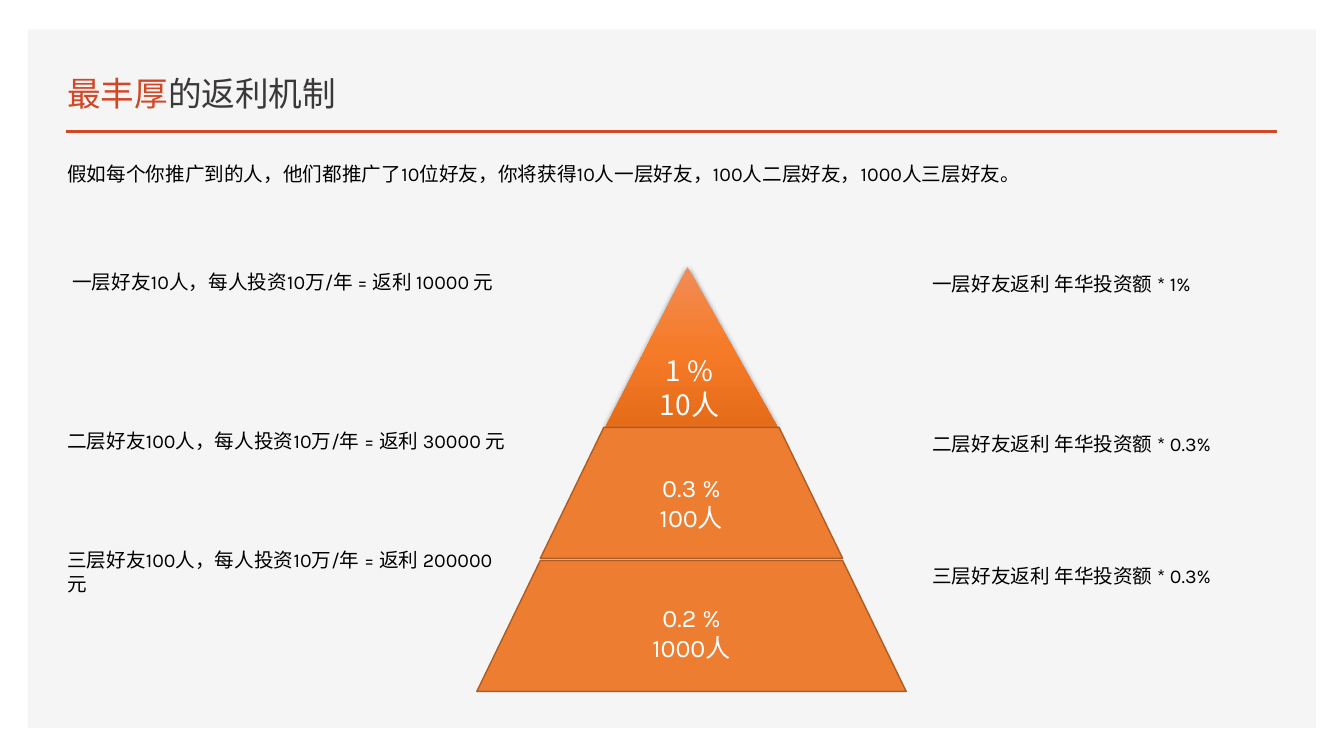
from lxml import etree
from pptx import Presentation
from pptx import util as u
from pptx.dml import color
from pptx.enum import shapes, text
from pptx.oxml import ns

BODY_FONT = "Karla"
CHINESE_FONT = "Noto Sans CJK SC"
RED = "D24726"
WHITE = "FFFFFF"
BLACK = "000000"


def rgb(hex_value):
    return color.RGBColor.from_string(hex_value)


def points(*lengths):
    return [u.Pt(length) for length in lengths]


def apply_format(target, values):
    for name, value in values.items():
        setattr(target, name, value)


def add_element(parent, tag, **attributes):
    element = etree.SubElement(parent, ns.qn(tag))
    for name, value in attributes.items():
        element.set(name, str(value))
    return element


def write_run(paragraph, words, size, hex_value, font_name=BODY_FONT):
    run = paragraph.add_run()
    run.text = words
    apply_format(run.font, {"size": u.Pt(size), "name": font_name})
    run.font.color.rgb = rgb(hex_value)
    add_element(run.font._element, "a:ea", typeface=CHINESE_FONT)


def add_text_box(slide, box, runs, size, anchor=text.MSO_ANCHOR.TOP, spacing=1.0):
    frame = slide.shapes.add_textbox(*points(*box)).text_frame
    apply_format(frame, {"word_wrap": True, "vertical_anchor": anchor})
    paragraph = frame.paragraphs[0]
    paragraph.line_spacing = spacing
    for words, hex_value in runs:
        write_run(paragraph, words, size, hex_value)


def add_background(slide, box):
    panel = slide.shapes.add_shape(shapes.MSO_SHAPE.RECTANGLE, *points(*box))
    panel.shadow.inherit = False
    panel.fill.solid()
    panel.fill.fore_color.rgb = rgb("F5F5F5")
    panel.line.fill.background()


def add_heading(slide, box):
    left, top, width, height = box
    rule_top = top + height
    title_runs = [("最丰厚", RED), ("的返利机制", "3B3838")]
    add_text_box(slide, (left - 6.5, top, 350, 50.4), title_runs, 24,
                 text.MSO_ANCHOR.BOTTOM, 0.9)
    rule = slide.shapes.add_connector(
        shapes.MSO_CONNECTOR.STRAIGHT, *points(left, rule_top, left + width, rule_top))
    rule.line.color.rgb = rgb(RED)
    rule.line.width = u.Pt(2)
    add_element(rule._element.spPr, "a:effectLst")


def add_level(slide, kind, box, adjustment, lines, size, font_name):
    level = slide.shapes.add_shape(kind, *points(*box))
    level.shadow.inherit = False
    level.adjustments[0] = adjustment
    frame = level.text_frame
    apply_format(frame, {"word_wrap": True, "vertical_anchor": text.MSO_ANCHOR.MIDDLE})
    for index, words in enumerate(lines):
        paragraph = frame.add_paragraph() if index else frame.paragraphs[0]
        paragraph.alignment = text.PP_ALIGN.CENTER
        write_run(paragraph, words, size, WHITE, font_name)
    return level


def style_peak(peak):
    peak.line.fill.background()
    peak.fill.gradient()
    peak.fill.gradient_angle = 270
    properties = peak._element.spPr
    stops = properties.find(".//" + ns.qn("a:gsLst"))
    for stop in list(stops):
        stops.remove(stop)
    for position, hex_value in ((0, "F18C57"), (50, "F67B28"), (100, "E56C19")):
        stop = add_element(stops, "a:gs", pos=position * 1000)
        add_element(stop, "a:srgbClr", val=hex_value)
    shadow = add_element(properties.find(ns.qn("a:effectLst")), "a:outerShdw",
                         blurRad=u.Pt(4.5), dist=u.Pt(1.5), dir=5400000, rotWithShape=0)
    shade = add_element(shadow, "a:srgbClr", val=BLACK)
    add_element(shade, "a:alpha", val=63000)


def add_pyramid(slide, box):
    left, top, width, height = box
    center = left + width / 2
    peak_width, peak_height, tier_height = 123, 114.5, 93.6
    peak = add_level(slide, shapes.MSO_SHAPE.ISOSCELES_TRIANGLE,
                     (center - peak_width / 2, top, peak_width, peak_height),
                     0.477, ["1 % 10人"], 20, CHINESE_FONT)
    style_peak(peak)
    tiers = [
        (216, top + peak_height, ["0.3 %", "100人"]),
        (width, top + height - tier_height, ["0.2 %", "1000人"]),
    ]
    for tier_width, tier_top, lines in tiers:
        tier = add_level(slide, shapes.MSO_SHAPE.TRAPEZOID,
                         (center - tier_width / 2, tier_top, tier_width, tier_height),
                         0.485, lines, 18, BODY_FONT)
        tier.fill.solid()
        tier.fill.fore_color.rgb = rgb("ED7D31")
        tier.line.color.rgb = rgb("AF5C24")
        tier.line.width = u.Pt(1)


def add_notes_column(slide, box, notes):
    left, top, width, height = box
    for indent, offset, words in notes:
        add_text_box(slide, (left + indent, top + offset, width - indent, height),
                     [(words, BLACK)], 14)


def build_slide(slide):
    add_background(slide, (20, 21, 920, 499))
    add_heading(slide, (47.5, 34.5, 864.5, 59.5))
    add_text_box(slide, (41, 112.3, 705.5, 24.5), [(
        "假如每个你推广到的人，他们都推广了10位好友，你将获得10人一层好友，"
        "100人二层好友，1000人三层好友。", BLACK)], 14)
    add_pyramid(slide, (340.6, 190.8, 306.7, 303.1))
    add_notes_column(slide, (41, 189.4, 329, 24.5), [
        (3.6, 0, "一层好友10人，每人投资10万/年 = 返利 10000 元"),
        (0, 113.7, "二层好友100人，每人投资10万/年 = 返利 30000 元"),
        (0, 198.7, "三层好友100人，每人投资10万/年 = 返利 200000 元"),
    ])
    add_notes_column(slide, (658.8, 190.8, 222, 24.5), [
        (0, 0, "一层好友返利 年华投资额 * 1%"),
        (0, 114.5, "二层好友返利 年华投资额 * 0.3%"),
        (0, 208.8, "三层好友返利 年华投资额 * 0.3%"),
    ])


def main():
    presentation = Presentation()
    apply_format(presentation, {"slide_width": u.Pt(960), "slide_height": u.Pt(540)})
    build_slide(presentation.slides.add_slide(presentation.slide_layouts[6]))
    presentation.save("out.pptx")


if __name__ == "__main__":
    main()
